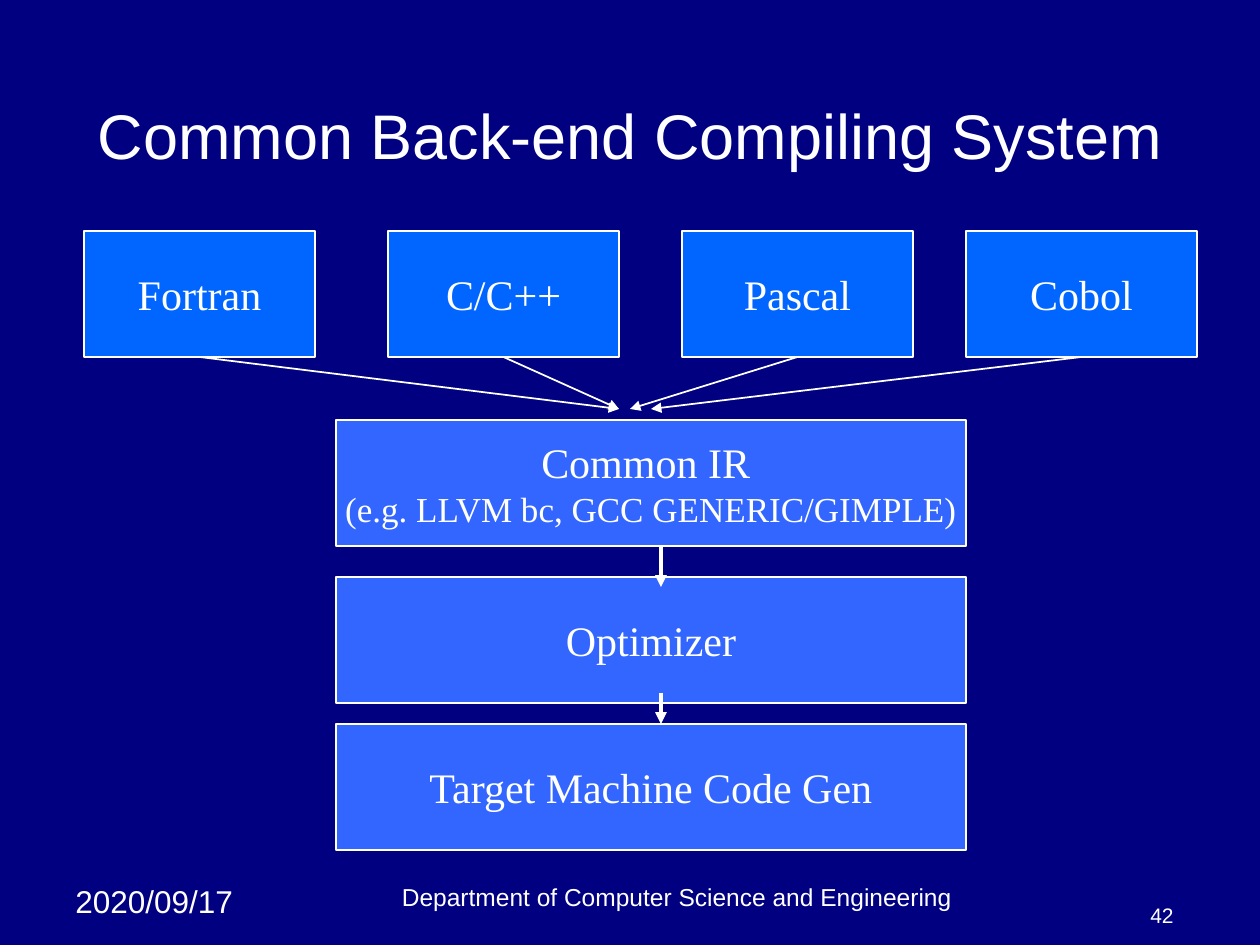
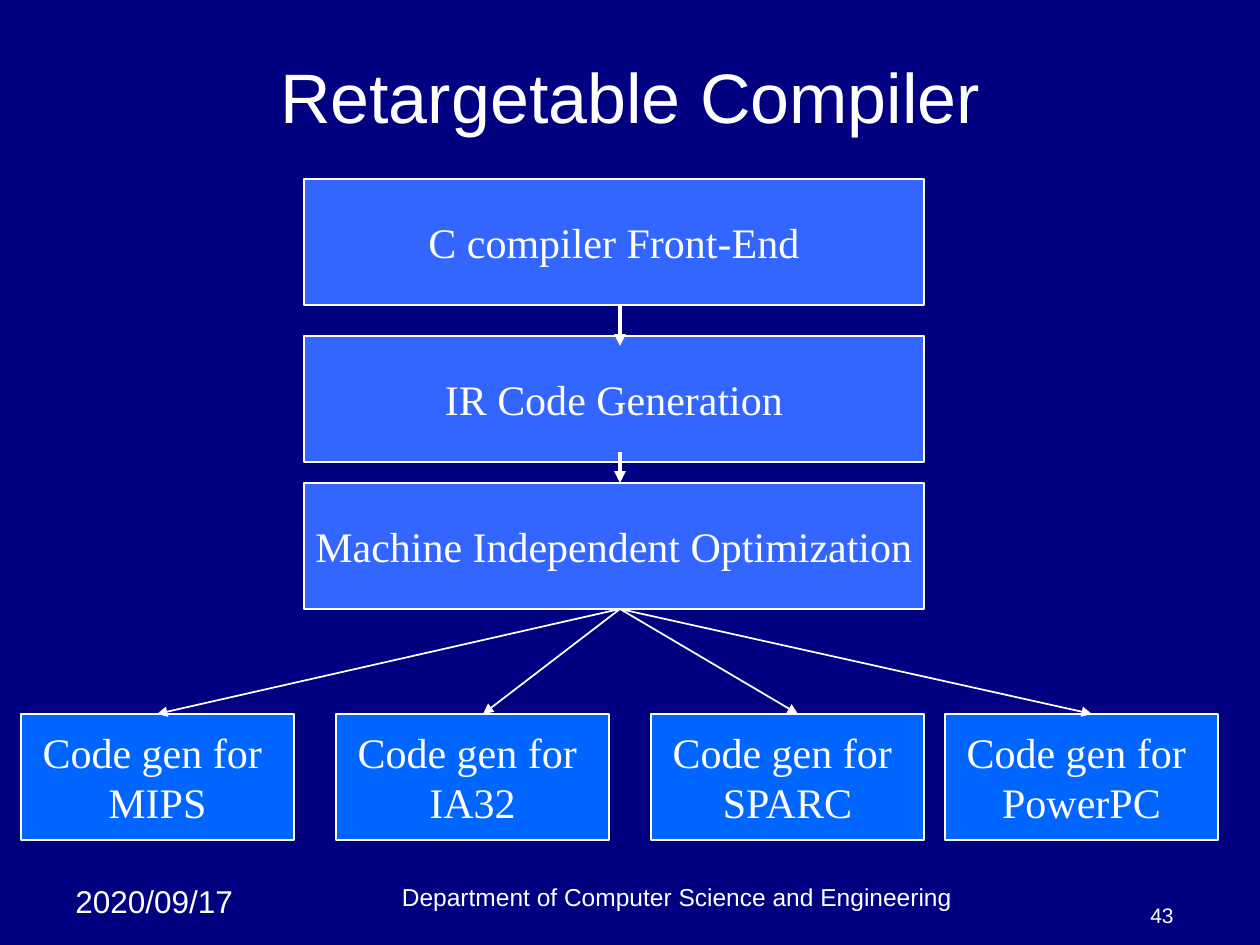
from lxml import etree
from pptx import Presentation
from pptx.dml.color import RGBColor as RGB
from pptx.enum.shapes import MSO_CONNECTOR as LINE, MSO_SHAPE as SHAPE
from pptx.enum.text import MSO_ANCHOR as ANCHOR, PP_ALIGN as ALIGN
from pptx.oxml.ns import qn
from pptx.util import Pt

WIDE, HIGH = 1260, 945
SCALE = 9144000 / WIDE
COLORS = {"back": "000080", "ink": "FFFFFF", "lang": "0066FF", "stage": "3366FF"}
SANS, SERIF = "Arial", "Times New Roman"
BOX_H = 126
STEPS = (0, 157, 304)


def px(n):
    return round(n * SCALE)


def color(name):
    return RGB.from_string(COLORS[name])


def write(frame, lines, font, align, anchor):
    """Fill a text frame with (text, size) lines, one paragraph each."""
    frame.vertical_anchor = anchor
    for i, (text, size) in enumerate(lines):
        para = frame.add_paragraph() if i else frame.paragraphs[0]
        para.alignment = align
        run = para.add_run()
        run.text = text
        run.font.size = Pt(size)
        run.font.name = font
        run.font.color.rgb = color("ink")


def add_label(slide, area, text, size, align, anchor=ANCHOR.BOTTOM):
    frame = slide.shapes.add_textbox(*map(px, area)).text_frame
    frame.word_wrap = True
    write(frame, [(text, size)], SANS, align, anchor)


def add_box(slide, left, top, width, fill, lines):
    box = slide.shapes.add_shape(SHAPE.RECTANGLE, *map(px, (left, top, width, BOX_H)))
    box.shadow.inherit = False
    box.fill.solid()
    box.fill.fore_color.rgb = color(fill)
    box.line.color.rgb = color("ink")
    box.line.width = Pt(1)
    box.text_frame.word_wrap = False
    write(box.text_frame, lines, SERIF, ALIGN.CENTER, ANCHOR.MIDDLE)


def add_arrow(slide, start, end, width=1):
    arrow = slide.shapes.add_connector(LINE.STRAIGHT, *map(px, start + end))
    arrow.line.color.rgb = color("ink")
    arrow.line.width = Pt(width)
    etree.SubElement(arrow.line._get_or_add_ln(), qn("a:tailEnd"), type="triangle")
    etree.SubElement(arrow._element.spPr, qn("a:effectLst"))


def add_stack(slide, left, top, width, axis, stages):
    """Three stages from top to bottom, joined by heavy arrows at x = axis."""
    for step, lines in zip(STEPS, stages):
        add_box(slide, left, top + step, width, "stage", lines)
    for start, end in ((BOX_H, 167), (273, STEPS[2])):
        add_arrow(slide, (axis, top + start), (axis, top + end), 2.25)


def add_slide(prs, title, size, top, height, number):
    slide = prs.slides.add_slide(prs.slide_layouts[5])
    head = slide.shapes.title
    head.left, head.top, head.width, head.height = map(px, (63, top, 1134, height))
    write(head.text_frame, [(title, size)], SANS, ALIGN.CENTER, ANCHOR.MIDDLE)
    add_label(slide, (63, 876, 200, 50), "2020/09/17", 18, ALIGN.LEFT, ANCHOR.TOP)
    add_label(slide, (252, 876, 850, 42),
              "Department of Computer Science and Engineering", 14, ALIGN.CENTER)
    add_label(slide, (1102, 892, 84, 42), str(number), 12, ALIGN.RIGHT)
    return slide


def add_common(prs):
    slide = add_slide(prs, "Common Back-end Compiling System", 36, 73, 122, 42)
    top, width = 231, 231
    langs = (("Fortran", 84, 619), ("C/C++", 388, 619),
             ("Pascal", 682, 630), ("Cobol", 966, 651))
    for name, left, end in langs:
        add_box(slide, left, top, width, "lang", [(name, 24)])
        add_arrow(slide, (left + width / 2, top + BOX_H), (end, 409))
    add_stack(slide, 336, 420, 630, 661, (
        [("Common IR ", 24), ("(e.g. LLVM bc, GCC GENERIC/GIMPLE)", 20)],
        [("Optimizer", 24)],
        [("Target Machine Code Gen", 24)],
    ))


def add_retarget(prs):
    slide = add_slide(prs, "Retargetable Compiler", 40, 38, 116, 43)
    axis, top = 620, 179
    add_stack(slide, 304, top, 620, axis, (
        [("C compiler Front-End", 24)],
        [("IR Code Generation", 24)],
        [("Machine Independent Optimization", 24)],
    ))
    fork = (axis, top + STEPS[2] + BOX_H)
    chips = (("MIPS", 21, 157), ("IA32", 336, 483),
             ("SPARC", 651, 798), ("PowerPC", 945, 1092))
    for name, left, end in chips:
        add_box(slide, left, 714, 273, "lang", [("Code gen for ", 24), (name, 24)])
        add_arrow(slide, fork, (end, 714))


def main():
    prs = Presentation()
    prs.slide_width, prs.slide_height = px(WIDE), px(HIGH)
    back = prs.slide_master.background.fill
    back.solid()
    back.fore_color.rgb = color("back")
    add_common(prs)
    add_retarget(prs)
    prs.save("out.pptx")


if __name__ == "__main__":
    main()
